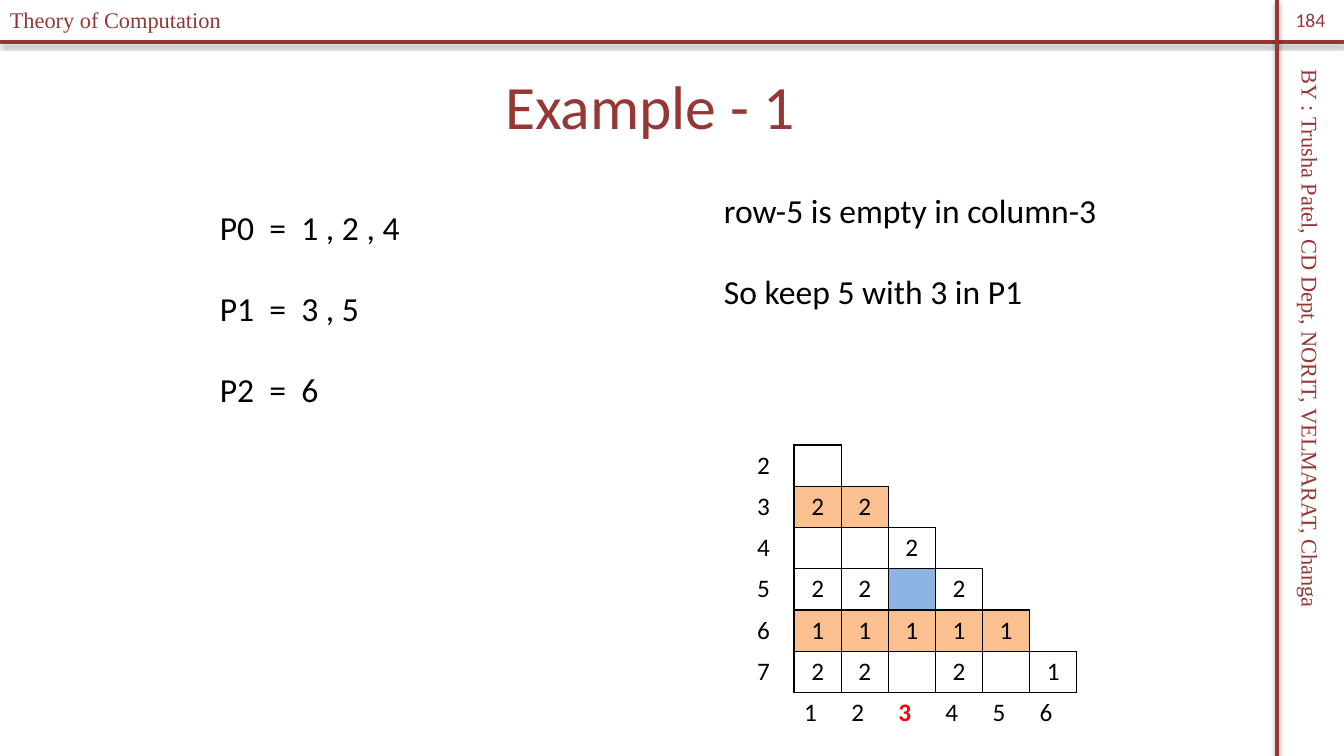
import lxml.etree
import pptx
import pptx.dml.color
import pptx.enum.shapes
import pptx.enum.text
import pptx.oxml.ns
import pptx.util

RGBColor = pptx.dml.color.RGBColor
MAROON = RGBColor(0x95, 0x37, 0x35)
BLACK = RGBColor(0x00, 0x00, 0x00)
RED = RGBColor(0xFF, 0x00, 0x00)
ORANGE = RGBColor(0xFA, 0xC0, 0x90)
BLUE = RGBColor(0x8E, 0xB4, 0xE3)

CENTER = pptx.enum.text.PP_ALIGN.CENTER
LEFT = pptx.enum.text.PP_ALIGN.LEFT
MIDDLE = pptx.enum.text.MSO_ANCHOR.MIDDLE
TOP = pptx.enum.text.MSO_ANCHOR.TOP

EMU_PER_PX = 914400 / 100.8

STAIRCASE = [
    [""],
    ["2", "2"],
    ["", "", "2"],
    ["2", "2", "", "2"],
    ["1", "1", "1", "1", "1"],
    ["2", "2", "", "2", "", "1"],
]
MARKED_STATES = ("3", "6")
EMPTY_PAIR = ("5", "3")


def px(length):
    return pptx.util.Emu(round(length * EMU_PER_PX))


def add_element(parent, tag, **attributes):
    element = lxml.etree.SubElement(parent, pptx.oxml.ns.qn(tag))
    for name, value in attributes.items():
        element.set(name, str(value))
    return element


def write_para(para, text, size, color, font="Calibri", align=LEFT, bold=False):
    para.alignment = align
    span = para.add_run()
    span.text = text
    span.font.size = pptx.util.Pt(size)
    span.font.name = font
    span.font.bold = bold
    span.font.color.rgb = color


def add_text(page, box, lines, size, color, font="Calibri", align=LEFT, anchor=TOP, gap=0):
    shape = page.shapes.add_textbox(*map(px, box))
    frame = shape.text_frame
    frame.word_wrap = True
    frame.vertical_anchor = anchor
    for index, line in enumerate(lines):
        para = frame.add_paragraph() if index else frame.paragraphs[0]
        para.space_before = pptx.util.Pt(gap if index else 0)
        write_para(para, line, size, color, font, align)
    return shape


def add_rule(page, start, end):
    rule = page.shapes.add_connector(
        pptx.enum.shapes.MSO_CONNECTOR.STRAIGHT, *map(px, start + end))
    rule.line.color.rgb = MAROON
    rule.line.width = pptx.util.Pt(3)
    effects = add_element(rule._element.spPr, "a:effectLst")
    shadow = add_element(effects, "a:outerShdw", blurRad=39370, dist=22860,
                         dir=5400000, rotWithShape=0)
    shade = add_element(shadow, "a:srgbClr", val=BLACK)
    add_element(shade, "a:alpha", val=35000)


def draw_frame(page, box):
    left, top, width, height = box
    rule_x, rule_y = left + 1277, top + 42
    add_rule(page, (left, rule_y), (left + width, rule_y))
    add_rule(page, (rule_x, top), (rule_x, top + height))
    author = add_text(page, (left + 987, top + 365, 647, 37),
                      ["BY : Trusha Patel, CD Dept, NORIT, VELMARAT, Changa"],
                      16, MAROON, "Times New Roman")
    author.rotation = 90
    add_text(page, (left, top + 1, 332, 37), ["Theory of Computation"],
             16, MAROON, "Times New Roman")
    add_text(page, (rule_x, top, left + width - rule_x, 40), ["184"],
             14, MAROON, align=CENTER, anchor=MIDDLE)


def draw_title(page, box):
    title = page.shapes.title
    title.left, title.top, title.width, title.height = map(px, box)
    title.text_frame.vertical_anchor = MIDDLE
    write_para(title.text_frame.paragraphs[0], "Example - 1", 44, MAROON, align=CENTER)


def is_step(row, column):
    return 0 <= row < len(STAIRCASE) and 1 <= column <= len(STAIRCASE[row])


def draw_borders(cell, row, column):
    neighbours = {"a:lnL": (row, column - 1), "a:lnR": (row, column + 1),
                  "a:lnT": (row - 1, column), "a:lnB": (row + 1, column)}
    properties = cell._tc.get_or_add_tcPr()
    for tag, neighbour in neighbours.items():
        border = add_element(properties, tag, w=12700)
        if is_step(row, column) or is_step(*neighbour):
            add_element(add_element(border, "a:solidFill"), "a:srgbClr", val=BLACK)
        else:
            add_element(border, "a:noFill")


def fill_cell(cell, row, column):
    state = str(row + 2)
    if is_step(row, column) and (state, str(column)) == EMPTY_PAIR:
        cell.fill.solid()
        cell.fill.fore_color.rgb = BLUE
    elif is_step(row, column) and state in MARKED_STATES:
        cell.fill.solid()
        cell.fill.fore_color.rgb = ORANGE
    else:
        cell.fill.background()


def write_cell(cell, row, column):
    para = cell.text_frame.paragraphs[0]
    if is_step(row, column):
        text = STAIRCASE[row][column - 1]
        if text:
            write_para(para, text, 18, BLACK, align=CENTER)
    elif column == 0 and row < len(STAIRCASE):
        write_para(para, str(row + 2), 18, BLACK)
    elif row == len(STAIRCASE) and column > 0:
        current = str(column) == EMPTY_PAIR[1]
        write_para(para, str(column), 18, RED if current else BLACK, bold=current)


def draw_staircase(page, box):
    count = len(STAIRCASE) + 1
    table = page.shapes.add_table(count, count, *map(px, box)).table
    table.first_row = False
    table.horz_banding = False
    for index in range(count):
        table.columns[index].width = px(box[2] / count)
        table.rows[index].height = px(box[3] / count)
    for row in range(count):
        for column in range(count):
            cell = table.cell(row, column)
            draw_borders(cell, row, column)
            fill_cell(cell, row, column)
            write_cell(cell, row, column)


def main():
    deck = pptx.Presentation()
    deck.slide_width, deck.slide_height = px(1344), px(756)
    page = deck.slides.add_slide(deck.slide_layouts[5])
    draw_frame(page, (0, 0, 1344, 756))
    draw_title(page, (184, 42, 932, 126))
    add_text(page, (714, 185, 405, 194),
             ["row-5 is empty in column-3", "So keep 5 with 3 in P1"], 24, BLACK, gap=29)
    draw_staircase(page, (747, 445, 330, 289))
    add_text(page, (210, 202, 202, 214),
             ["P0  =  1 , 2 , 4", "P1  =  3 , 5", "P2  =  6"], 24, BLACK, gap=29)
    deck.save("out.pptx")


if __name__ == "__main__":
    main()
